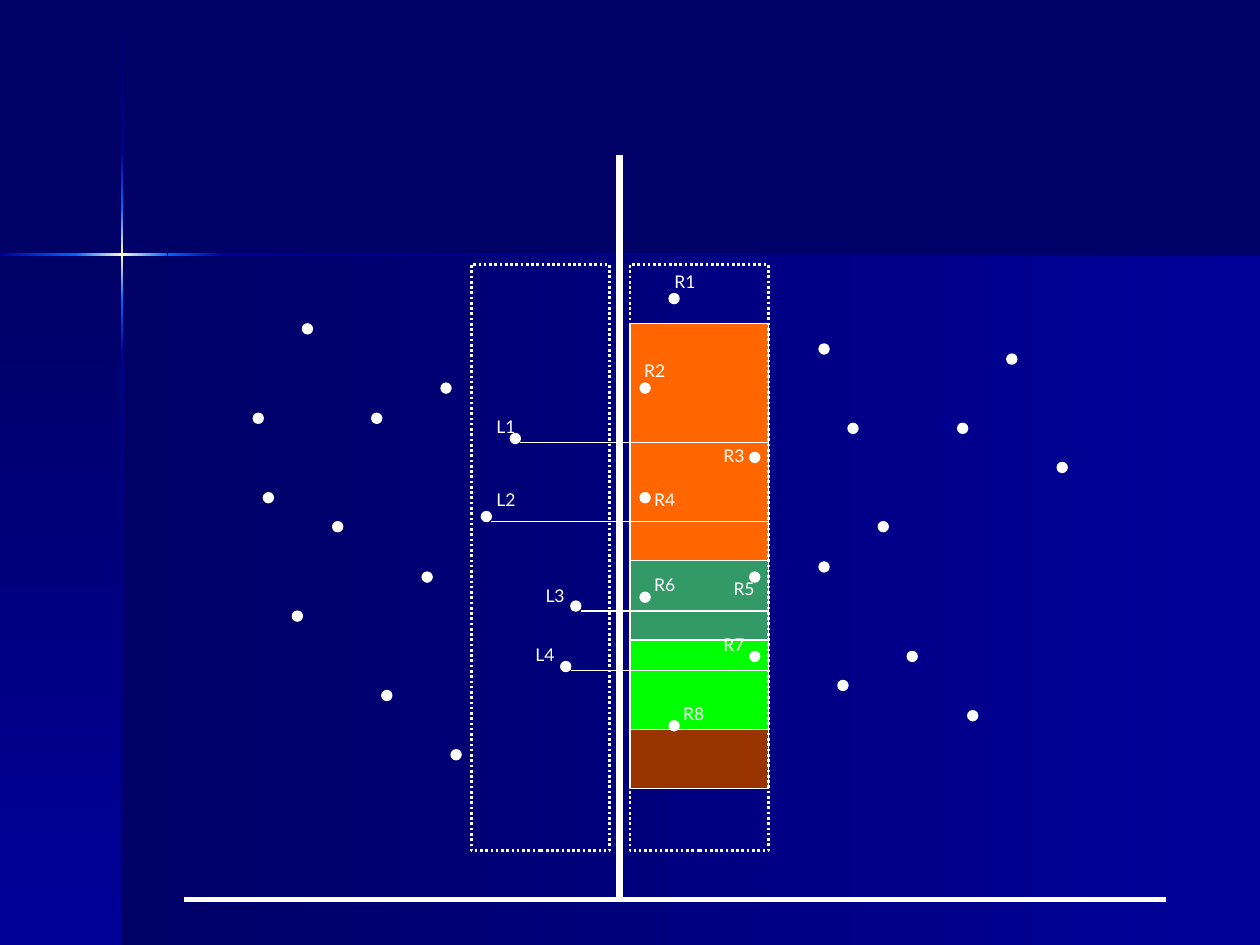
import copy

import pptx
import pptx.dml.color
import pptx.enum.dml
import pptx.enum.shapes
import pptx.enum.text
import pptx.oxml
import pptx.oxml.ns
import pptx.util

Inches = pptx.util.Inches
Pt = pptx.util.Pt
RGBColor = pptx.dml.color.RGBColor
SHAPES = pptx.enum.shapes.MSO_SHAPE

NAVY = RGBColor(0x00, 0x00, 0x66)
BLUE = RGBColor(0x00, 0x00, 0x99)
BRIGHT = RGBColor(0x00, 0x66, 0xFF)
CREAM = RGBColor(0xFF, 0xFF, 0xCC)
WHITE = RGBColor(0xFF, 0xFF, 0xFF)
ORANGE = RGBColor(0xFF, 0x66, 0x00)
TEAL = RGBColor(0x33, 0x99, 0x66)
GREEN = RGBColor(0x00, 0xFF, 0x00)
BROWN = RGBColor(0x99, 0x33, 0x00)

deck = pptx.Presentation()
deck.slide_width, deck.slide_height = Inches(10), Inches(7.5)
page = deck.slides.add_slide(deck.slide_layouts[6])
page.background.fill.solid()
page.background.fill.fore_color.rgb = NAVY


def add_figure(kind, left, top, width, height, fill=None, line=None):
    """Add a shadowless preset shape, with a white line of the given width."""
    figure = page.shapes.add_shape(
        kind, Inches(left), Inches(top), Inches(width), Inches(height))
    figure.shadow.inherit = False
    if fill is None:
        figure.fill.background()
    else:
        figure.fill.solid()
        figure.fill.fore_color.rgb = fill
    if line is None:
        figure.line.fill.background()
    else:
        figure.line.color.rgb = WHITE
        figure.line.width = Pt(line)
    return figure


def add_line(x1, y1, x2, y2, width):
    line = page.shapes.add_connector(
        pptx.enum.shapes.MSO_CONNECTOR.STRAIGHT,
        Inches(x1), Inches(y1), Inches(x2), Inches(y2))
    line.line.color.rgb = WHITE
    line.line.width = Pt(width)
    line._element.spPr.append(pptx.oxml.parse_xml(
        f'<a:effectLst {pptx.oxml.ns.nsdecls("a")}/>'))


# Background panels and the glowing cross: place, gradient direction, colours
RIGHT, DOWN = 0, 270
GLOW = (BRIGHT, CREAM, BRIGHT)
backdrop = [
    (0.97, 2.02, 9.03, 5.48, RIGHT, (NAVY, BLUE)),
    (0, 2.02, 0.97, 5.48, DOWN, (NAVY, BLUE)),
    (0.96, 0.01, 0.02, 1.2, DOWN, (NAVY, BLUE)),
    (0.96, 2.82, 0.02, 4.68, DOWN, (BLUE, NAVY)),
    (1.77, 2.01, 8.23, 0.02, RIGHT, (BLUE, NAVY)),
    (0.96, 2.38, 0.02, 0.44, DOWN, (BRIGHT, BLUE)),
    (0.96, 1.21, 0.02, 0.44, DOWN, (BLUE, BRIGHT)),
    (0.96, 1.65, 0.02, 0.73, DOWN, GLOW),
    (0, 2.01, 0.61, 0.02, RIGHT, (BLUE, BRIGHT)),
    (1.33, 2.01, 0.44, 0.02, RIGHT, (BRIGHT, BLUE)),
    (0.6, 2.01, 0.73, 0.02, RIGHT, GLOW),
]
for *place, angle, colours in backdrop:
    panel = add_figure(SHAPES.RECTANGLE, *place)
    panel.fill.gradient()
    panel.fill.gradient_angle = angle
    stop_list = next(panel._element.spPr.iter(pptx.oxml.ns.qn("a:gsLst")))
    if len(colours) == 3:
        stop_list.append(copy.deepcopy(stop_list[-1]))
    for index, (stop, colour) in enumerate(zip(panel.fill.gradient_stops, colours)):
        stop.position = index / (len(colours) - 1)
        stop.color.rgb = colour

# Search bands: one above and one below each left point's level
STRIP_LEFT, STRIP_WIDTH, BAND = 5, 1.1, 0.94
bands = [(5.32, BROWN), (4.38, BROWN), (4.85, GREEN), (3.91, GREEN),
         (3.2, TEAL), (4.14, TEAL), (3.51, ORANGE), (2.57, ORANGE)]
for top, colour in bands:
    add_figure(SHAPES.RECTANGLE, STRIP_LEFT, top, STRIP_WIDTH, BAND, colour, 0.75)

# Dividing line
add_line(4.92, 1.23, 4.92, 7.14, 4)

left_points = [
    (3.35, 4.54), (2.4, 2.57), (2.09, 3.91), (3.5, 3.04), (3.03, 5.48),
    (3.82, 4.06), (4.45, 5.25), (2.95, 3.28), (4.05, 3.44), (2.64, 4.14),
    (4.53, 4.77), (2.01, 3.28), (3.58, 5.95), (2.32, 4.85),
]
right_points = [
    (5.08, 3.04), (5.08, 4.7), (5.95, 3.59), (7.99, 2.81), (6.5, 2.73),
    (5.31, 2.33), (5.08, 3.91), (5.95, 4.54), (6.5, 4.46), (6.73, 3.36),
    (5.31, 5.72), (5.95, 5.17), (8.39, 3.67), (7.6, 3.36), (7.68, 5.64),
    (6.97, 4.14), (7.2, 5.17), (6.65, 5.4),
]
for left, top in left_points + right_points:
    add_figure(SHAPES.OVAL, left, top, 0.08, 0.08, WHITE, 0.75)

# Dotted strips on both sides of the dividing line
for left in (STRIP_LEFT, 3.74):
    strip = add_figure(SHAPES.RECTANGLE, left, 2.1, STRIP_WIDTH, 4.65, line=1.5)
    strip.line.dash_style = pptx.enum.dml.MSO_LINE.ROUND_DOT

# Levels of the left points, then the base line
for start, level in [(4.13, 3.51), (3.9, 4.14), (4.61, 4.85), (4.53, 5.32)]:
    add_line(start, level, STRIP_LEFT + STRIP_WIDTH, level, 0.75)
add_line(1.46, 7.14, 9.25, 7.14, 3)

labels = [
    ("L1", 3.82, 3.25), ("R2", 5, 2.81), ("R1", 5.24, 2.1), ("L2", 3.82, 3.83),
    ("L3", 4.21, 4.59), ("L4", 4.13, 5.06), ("R5", 5.71, 4.54), ("R4", 5.08, 3.83),
    ("R3", 5.63, 3.48), ("R6", 5.08, 4.51), ("R8", 5.31, 5.53), ("R7", 5.63, 4.98),
]
for name, left, top in labels:
    box = page.shapes.add_textbox(Inches(left), Inches(top), Inches(0.39), Inches(0.27))
    box.text_frame.word_wrap = True
    box.text_frame.auto_size = pptx.enum.text.MSO_AUTO_SIZE.SHAPE_TO_FIT_TEXT
    para = box.text_frame.paragraphs[0]
    para.alignment = pptx.enum.text.PP_ALIGN.CENTER
    span = para.add_run()
    span.text = name
    span.font.name = "Lato"
    span.font.size = Pt(10)
    span.font.color.rgb = WHITE

deck.save("out.pptx")
